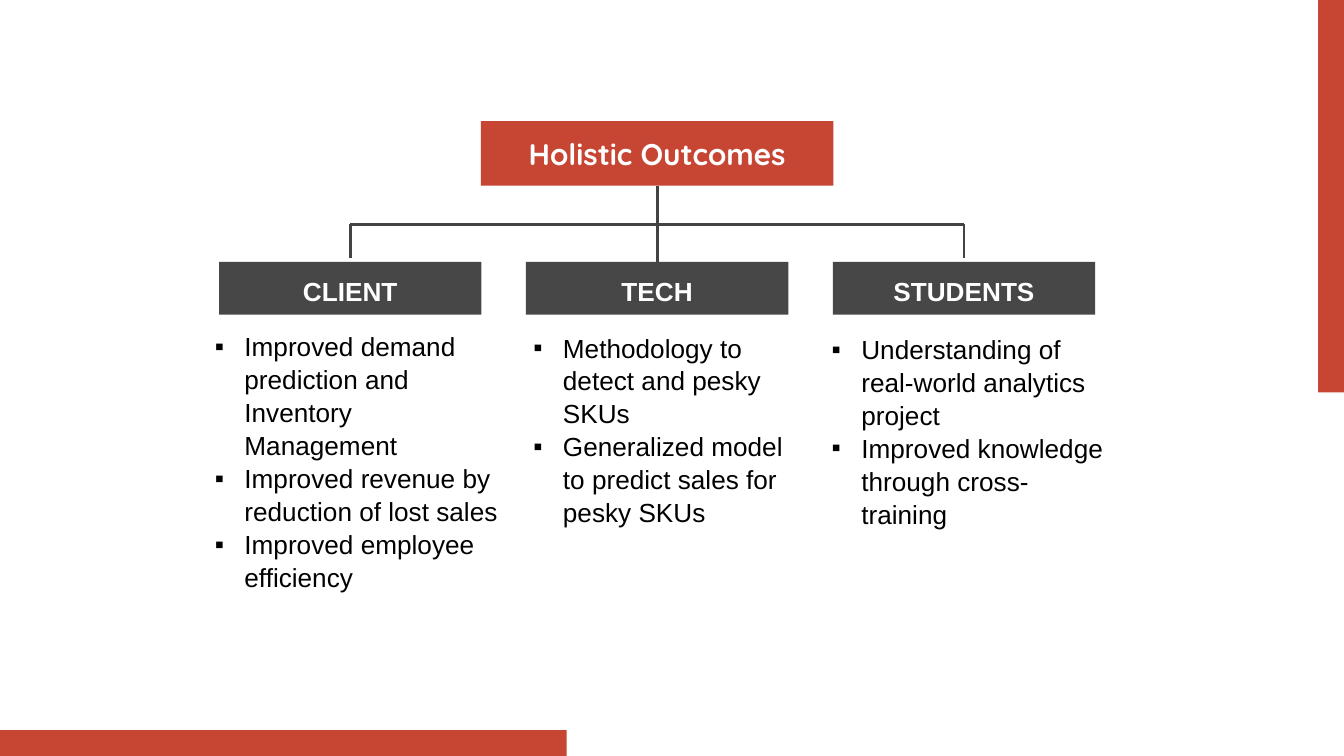
from lxml.etree import SubElement
from pptx import Presentation
from pptx.dml.color import RGBColor
from pptx.enum.shapes import MSO_CONNECTOR, MSO_SHAPE
from pptx.enum.text import MSO_ANCHOR, MSO_AUTO_SIZE, PP_ALIGN
from pptx.oxml.ns import qn
from pptx.util import Cm, Pt

THEME = {
    "red": RGBColor(0xC7, 0x45, 0x33),
    "header": RGBColor(0x47, 0x47, 0x47),
    "line": RGBColor(0x43, 0x43, 0x43),
    "white": RGBColor(0xFF, 0xFF, 0xFF),
    "black": RGBColor(0, 0, 0),
    "title_font": "Quicksand",
    "body_font": "Arial",
    "title_size": Pt(16),
    "body_size": Pt(14),
    "line_width": Pt(1.5),
}

# Column heading, list box (left, top, width, height in cm), bullet texts
COLUMNS = [
    ("CLIENT", (3.58, 6.1, 6.1, 5.05), [
        "Improved demand prediction and Inventory Management",
        "Improved revenue by reduction of lost sales",
        "Improved employee efficiency",
    ]),
    ("TECH", (9.6, 6.12, 5.54, 3.84), [
        "Methodology to detect and pesky SKUs",
        "Generalized model to predict sales for pesky SKUs",
    ]),
    ("STUDENTS", (15.24, 6.15, 5.89, 3.84), [
        "Understanding of real-world analytics project",
        "Improved knowledge through cross-training",
    ]),
]
HEADER_LEFT, HEADER_TOP, HEADER_WIDTH, HEADER_HEIGHT = 4.14, 4.95, 4.96, 1.0
HEADER_STEP = 5.8
BRANCH_TOP, BRANCH_BOTTOM = 4.24, 4.88


def format_box(shape, text, fill, font_name, font_size, anchor):
    shape.fill.solid()
    shape.fill.fore_color.rgb = fill
    shape.line.fill.background()
    frame = shape.text_frame
    frame.text = text
    frame_format = {
        "word_wrap": True, "auto_size": MSO_AUTO_SIZE.NONE, "vertical_anchor": anchor,
        "margin_left": Cm(0.25), "margin_right": Cm(0.25),
        "margin_top": Cm(0.25), "margin_bottom": Cm(0.25),
    }
    for name, value in frame_format.items():
        setattr(frame, name, value)
    paragraph = frame.paragraphs[0]
    paragraph.alignment = PP_ALIGN.CENTER
    for name, value in {"name": font_name, "size": font_size, "bold": True}.items():
        setattr(paragraph.font, name, value)
    paragraph.font.color.rgb = THEME["white"]


def add_line(slide, x1, y1, x2, y2):
    connector = slide.shapes.add_connector(
        MSO_CONNECTOR.STRAIGHT, Cm(x1), Cm(y1), Cm(x2), Cm(y2))
    connector.line.color.rgb = THEME["line"]
    connector.line.width = THEME["line_width"]
    SubElement(connector._element.spPr, qn("a:effectLst"))
    return connector


presentation = Presentation()
presentation.slide_width, presentation.slide_height = Cm(25.4), Cm(14.29)
slide = presentation.slides.add_slide(presentation.slide_layouts[5])

# Edge bars
for bar in [(24.91, 0, 0.49, 7.42), (0, 13.8, 10.71, 0.49)]:
    shape = slide.shapes.add_shape(MSO_SHAPE.RECTANGLE, *map(Cm, bar))
    shape.shadow.inherit = False
    shape.fill.solid()
    shape.fill.fore_color.rgb = THEME["red"]
    shape.line.fill.background()

# Title as the root of the tree
title = slide.shapes.title
title.left, title.top, title.width, title.height = map(Cm, (9.09, 2.29, 6.66, 1.22))
format_box(title, "Holistic Outcomes", THEME["red"], THEME["title_font"],
           THEME["title_size"], MSO_ANCHOR.MIDDLE)

# Column headers
headers = []
for index, (heading, _, _) in enumerate(COLUMNS):
    header = slide.shapes.add_shape(
        MSO_SHAPE.RECTANGLE, Cm(HEADER_LEFT + index * HEADER_STEP), Cm(HEADER_TOP),
        Cm(HEADER_WIDTH), Cm(HEADER_HEIGHT))
    header.shadow.inherit = False
    format_box(header, heading, THEME["header"], THEME["body_font"],
               THEME["body_size"], MSO_ANCHOR.TOP)
    headers.append(header)

# Branches: trunk, crossbar and two outer drops
first_x = HEADER_LEFT + HEADER_WIDTH / 2
last_x = first_x + 2 * HEADER_STEP
trunk = add_line(slide, 12.42, 3.51, 12.42, HEADER_TOP)
trunk.begin_connect(title, 2)
trunk.end_connect(headers[1], 0)
add_line(slide, first_x, BRANCH_TOP, last_x, BRANCH_TOP)
for x in (first_x, last_x):
    add_line(slide, x, BRANCH_TOP, x, BRANCH_BOTTOM)

# Bullet lists
for _, box, items in COLUMNS:
    frame = slide.shapes.add_textbox(*map(Cm, box)).text_frame
    frame.word_wrap = True
    frame.auto_size = MSO_AUTO_SIZE.SHAPE_TO_FIT_TEXT
    for index, item in enumerate(items):
        paragraph = frame.paragraphs[0] if index == 0 else frame.add_paragraph()
        paragraph.text = item
        properties = paragraph._p.get_or_add_pPr()
        properties.set("marL", str(Cm(0.79)))
        properties.set("indent", str(-Cm(0.56)))
        bullet_color = SubElement(properties, qn("a:buClr"))
        SubElement(bullet_color, qn("a:srgbClr"), val=str(THEME["black"]))
        SubElement(properties, qn("a:buFont"), typeface=THEME["body_font"])
        SubElement(properties, qn("a:buChar"), char="▪")
        paragraph.line_spacing = 1.05
        paragraph.font.name = THEME["body_font"]
        paragraph.font.size = THEME["body_size"]
        paragraph.font.color.rgb = THEME["black"]

presentation.save("out.pptx")
